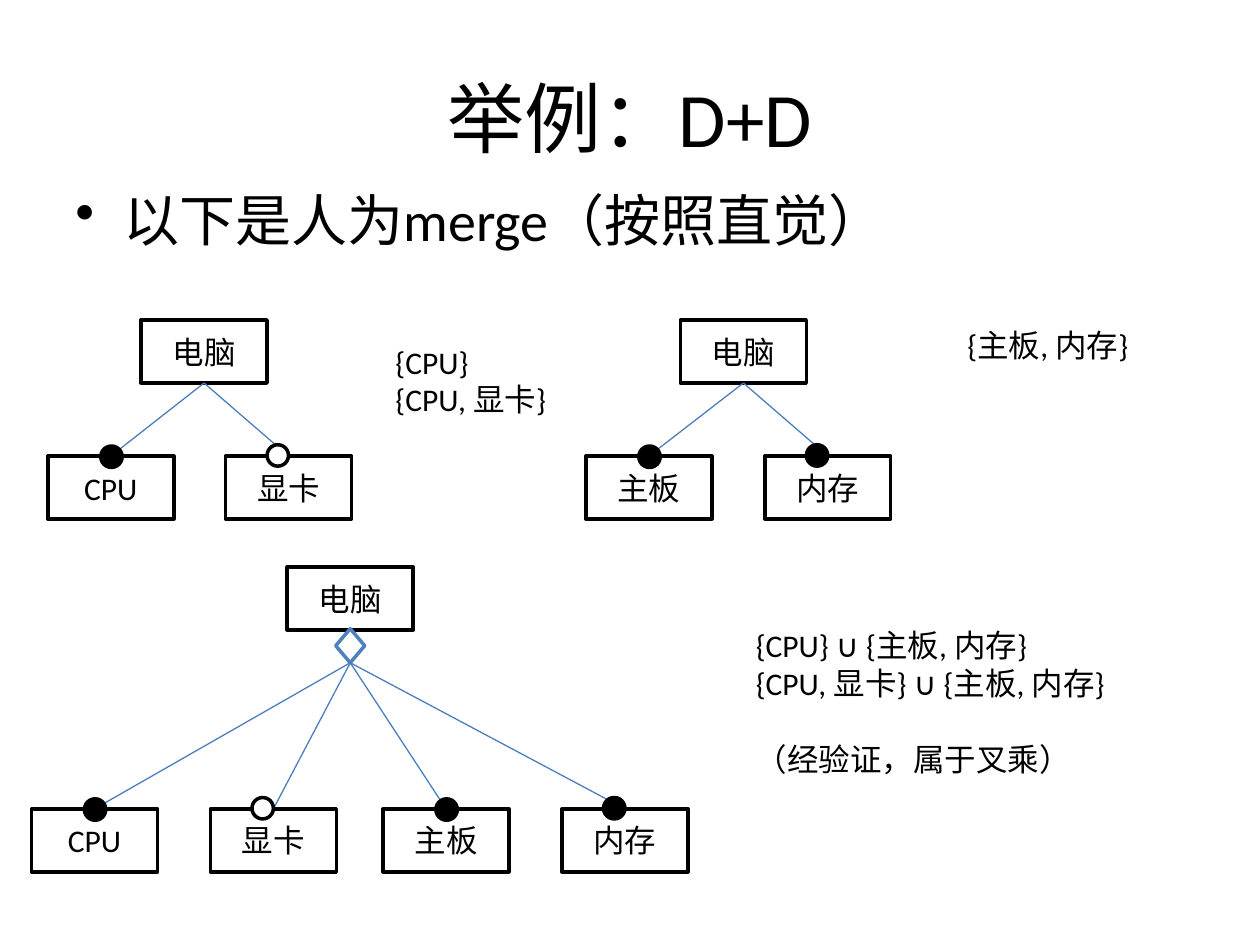
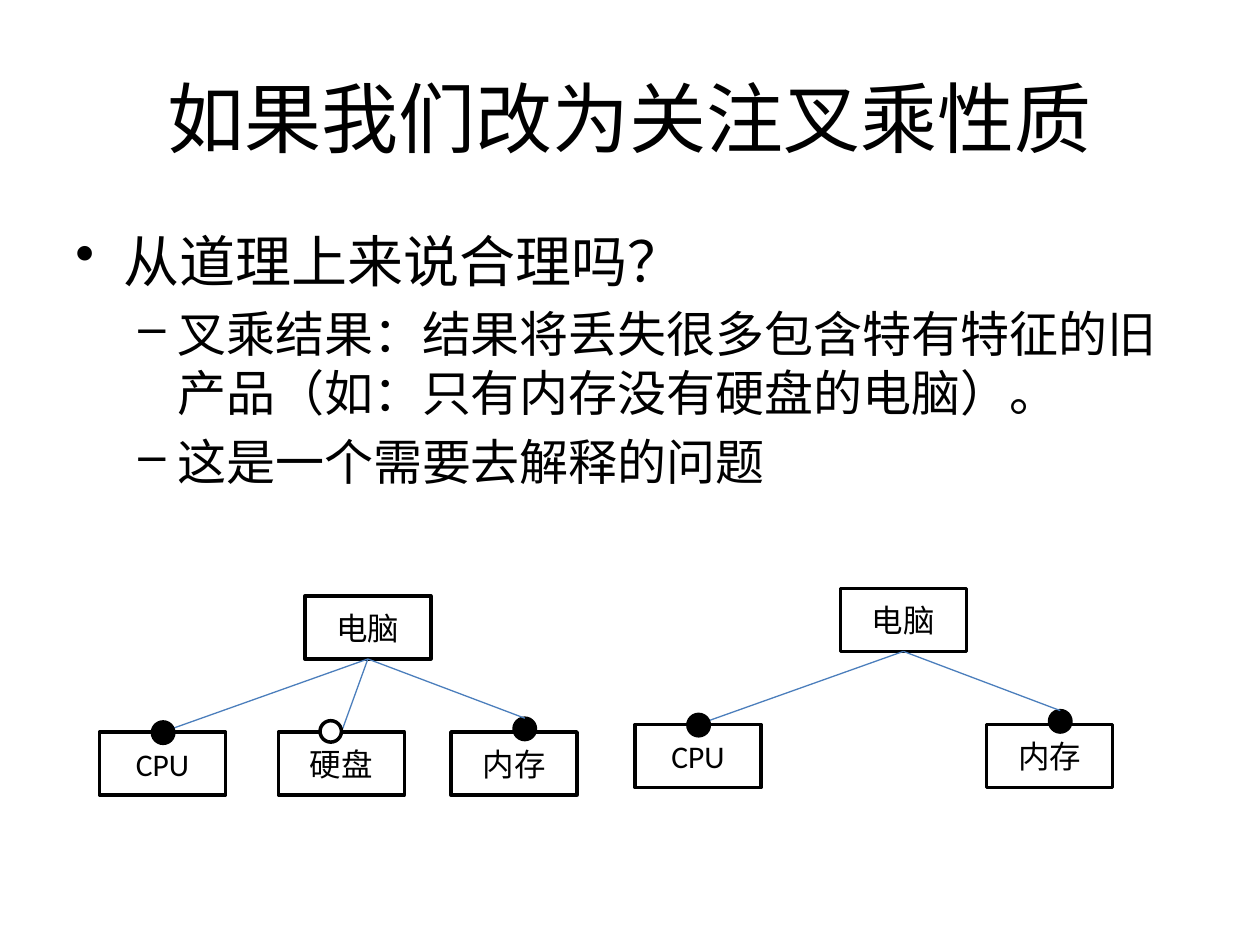
from dataclasses import dataclass, field

from lxml import etree
from pptx import Presentation
from pptx.dml.color import RGBColor
from pptx.enum.shapes import MSO_CONNECTOR, MSO_SHAPE
from pptx.enum.text import MSO_ANCHOR, PP_ALIGN
from pptx.oxml.ns import qn
from pptx.util import Inches, Pt

RECTANGLE, OVAL, DIAMOND = MSO_SHAPE.RECTANGLE, MSO_SHAPE.OVAL, MSO_SHAPE.DIAMOND
STRAIGHT = MSO_CONNECTOR.STRAIGHT
TOP, MIDDLE = MSO_ANCHOR.TOP, MSO_ANCHOR.MIDDLE
LEFT, CENTER = PP_ALIGN.LEFT, PP_ALIGN.CENTER
TOP_SITE, BOTTOM_SITE = 0, 2


@dataclass(frozen=True)
class Mark:
    dx: float
    dy: float
    color: RGBColor


@dataclass(frozen=True)
class Theme:
    black: RGBColor = RGBColor(0, 0, 0)
    white: RGBColor = RGBColor(255, 255, 255)
    blue: RGBColor = RGBColor(0x4F, 0x81, 0xBD)
    link: RGBColor = RGBColor(0x4B, 0x7E, 0xBC)
    font: str = "Calibri"
    title_size: int = 44
    label_size: int = 18
    outline: float = 2
    link_width: float = 0.75
    node: tuple = (1, 0.5)
    dot: float = 0.17
    joint: tuple = (0.23, 0.27)
    row_drop: float = 1.08
    bullets: tuple = (("•", 0.38, 0.38, 32), ("–", 0.81, 0.31, 28))
    marks: dict = field(default_factory=dict)


THEME = Theme(marks={
    "required": Mark(0.42, -0.08, Theme.black),
    "optional": Mark(0.33, -0.09, Theme.white),
    "required_left": Mark(0.33, -0.09, Theme.black),
    "required_tip": Mark(0.5, -0.11, Theme.black),
})


class FeatureDeck:
    def __init__(self, theme):
        self.theme = theme
        self.deck = Presentation()
        self.deck.slide_width, self.deck.slide_height = Inches(10), Inches(7.5)
        self.slide = None

    def new_slide(self, heading):
        self.slide = self.deck.slides.add_slide(self.deck.slide_layouts[6])
        frame = self.text_frame(0.5, 0.3, 9, 1.25, MIDDLE)
        self.fill_text(frame.paragraphs[0], heading, self.theme.title_size, CENTER)

    def text_frame(self, left, top, width, height, anchor=TOP):
        box = self.slide.shapes.add_textbox(*map(Inches, (left, top, width, height)))
        frame = box.text_frame
        frame.word_wrap, frame.vertical_anchor = True, anchor
        return frame

    def fill_text(self, paragraph, text, size, align=LEFT):
        paragraph.alignment = align
        run = paragraph.add_run()
        run.text = text
        run.font.color.rgb = self.theme.black
        for name, value in {"name": self.theme.font, "size": Pt(size)}.items():
            setattr(run.font, name, value)

    def paragraphs(self, frame, count):
        return [frame.paragraphs[0]] + [frame.add_paragraph() for _ in range(count - 1)]

    def body(self, top, points):
        frame = self.text_frame(0.5, top, 9, 4.95)
        for index, (paragraph, (level, text)) in enumerate(
                zip(self.paragraphs(frame, len(points)), points)):
            char, margin, hang, size = self.theme.bullets[level]
            properties = paragraph._p.get_or_add_pPr()
            properties.set("marL", str(Inches(margin)))
            properties.set("indent", str(-Inches(hang)))
            etree.SubElement(properties, qn("a:buChar")).set("char", char)
            if index:
                paragraph.space_before = Pt(0.2 * size)
            self.fill_text(paragraph, text, size)

    def note(self, left, top, width, height, lines, closing=None):
        frame = self.text_frame(left, top, width, height)
        texts = lines + ([closing] if closing else [])
        entries = self.paragraphs(frame, len(texts))
        for paragraph, text in zip(entries, texts):
            self.fill_text(paragraph, text, self.theme.label_size)
        if closing:
            entries[-1].space_before = Pt(1.2 * self.theme.label_size)

    def shape(self, kind, left, top, size, fill, line):
        shape = self.slide.shapes.add_shape(kind, *map(Inches, (left, top, *size)))
        shape.shadow.inherit = False
        shape.fill.solid()
        shape.fill.fore_color.rgb = fill
        shape.line.color.rgb = line
        shape.line.width = Pt(self.theme.outline)
        return shape

    def node(self, label, left, top):
        theme = self.theme
        node = self.shape(RECTANGLE, left, top, theme.node, theme.white, theme.black)
        node.text_frame.vertical_anchor = MIDDLE
        self.fill_text(node.text_frame.paragraphs[0], label, theme.label_size, CENTER)
        return node

    def dot(self, left, top, mark):
        theme = self.theme
        return self.shape(OVAL, left + mark.dx, top + mark.dy,
                          (theme.dot, theme.dot), mark.color, theme.black)

    def link(self, parent, child):
        link = self.slide.shapes.add_connector(STRAIGHT, 0, 0, 0, 0)
        link.begin_connect(parent, BOTTOM_SITE)
        link.end_connect(child, TOP_SITE)
        link.line.color.rgb = self.theme.link
        link.line.width = Pt(self.theme.link_width)
        etree.SubElement(link._element.spPr, qn("a:effectLst"))

    def tree(self, left, top, leaves, drop=None, crossed=False):
        theme = self.theme
        row = top + (drop or theme.row_drop)
        source = self.node("电脑", left, top)
        if crossed:
            width = theme.joint[0]
            source = self.shape(DIAMOND, left + (theme.node[0] - width) / 2,
                                top + theme.node[1] - 0.01, theme.joint,
                                theme.white, theme.blue)
        for label, leaf_left, kind in leaves:
            part = self.node(label, leaf_left, row)
            mark = theme.marks[kind]
            if kind == "required_tip":
                self.link(source, self.dot(leaf_left, row, mark))
            else:
                self.link(source, part)
                self.dot(leaf_left, row, mark)


def merge_example(deck):
    deck.new_slide("举例：D+D")
    deck.body(1.42, [(0, "以下是人为merge（按照直觉）")])
    deck.tree(1.12, 2.54, [("CPU", 0.38, "required"), ("显卡", 1.79, "optional")])
    deck.tree(5.4, 2.54, [("主板", 4.65, "required"), ("内存", 6.07, "required_left")])
    deck.tree(2.28, 4.5, [
        ("CPU", 0.25, "required"),
        ("显卡", 1.67, "optional"),
        ("主板", 3.04, "required"),
        ("内存", 4.46, "required_left"),
    ], drop=1.92, crossed=True)
    deck.note(3.04, 2.67, 1.41, 0.71, ["{CPU}", "{CPU, 显卡}"])
    deck.note(7.58, 2.54, 1.49, 0.4, ["{主板, 内存}"])
    deck.note(5.9, 4.92, 2.98, 1.31,
              ["{CPU} ∪ {主板, 内存}", "{CPU, 显卡} ∪ {主板, 内存}"],
              closing="（经验证，属于叉乘）")


def cross_product_question(deck):
    deck.new_slide("如果我们改为关注叉乘性质")
    deck.body(1.75, [
        (0, "从道理上来说合理吗？"),
        (1, "叉乘结果：结果将丢失很多包含特有特征的旧产品（如：只有内存没有硬盘的电脑）。"),
        (1, "这是一个需要去解释的问题"),
    ])
    deck.tree(2.42, 4.73, [
        ("CPU", 0.79, "required"),
        ("硬盘", 2.21, "optional"),
        ("内存", 3.58, "required_tip"),
    ])
    deck.tree(6.67, 4.67, [("CPU", 5.04, "required"), ("内存", 7.83, "required_tip")])


def main():
    deck = FeatureDeck(THEME)
    merge_example(deck)
    cross_product_question(deck)
    deck.deck.save("out.pptx")


if __name__ == "__main__":
    main()
